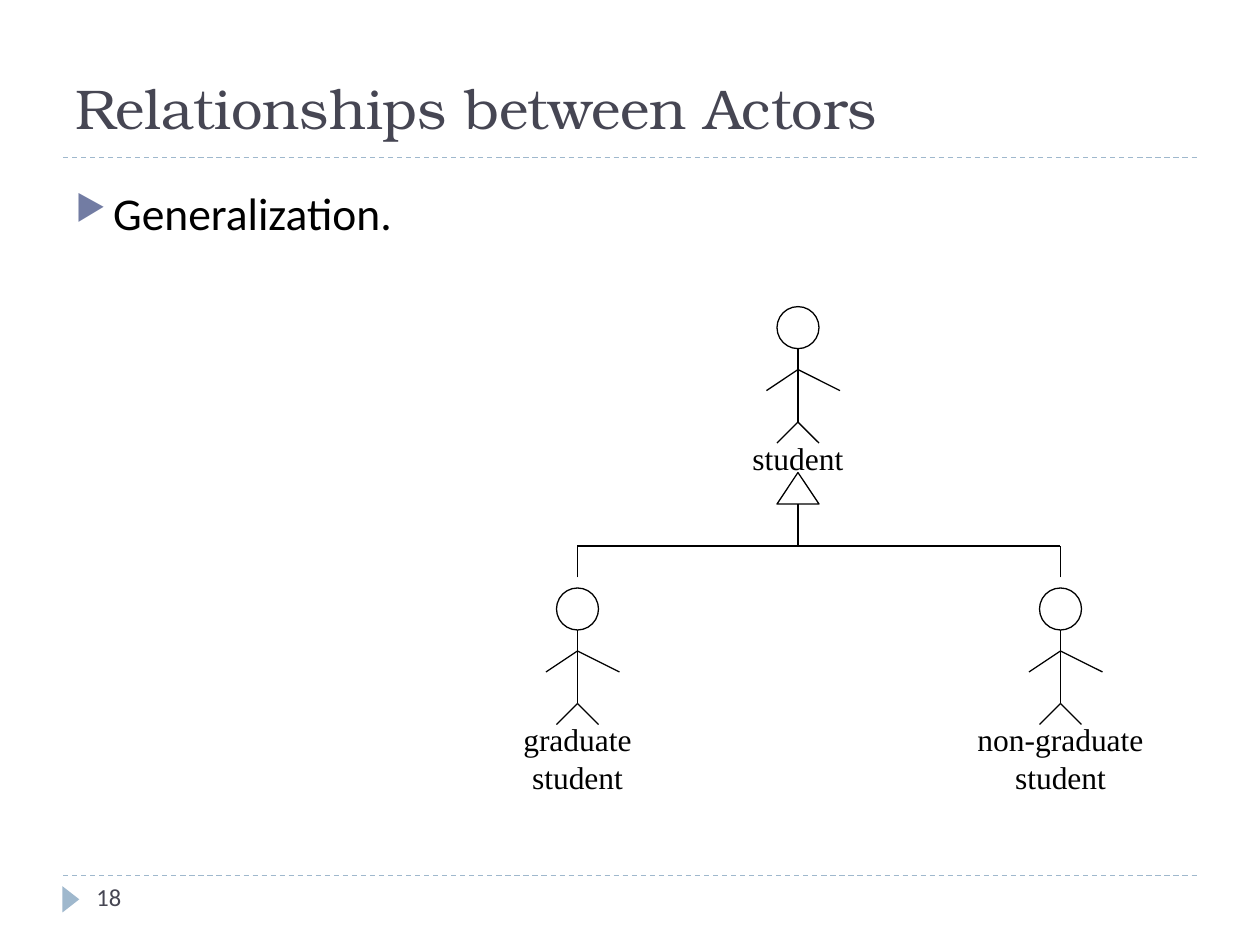
from lxml import etree
from pptx import Presentation, util as u
from pptx.dml.color import RGBColor
from pptx.enum import dml, shapes, text
from pptx.oxml.ns import qn

INK = RGBColor(0x00, 0x00, 0x00)
HEADING = RGBColor(0x46, 0x46, 0x53)
ACCENT = RGBColor(0x9F, 0xB8, 0xCD)
BULLET = RGBColor(0x72, 0x7C, 0xA3)

COLUMNS, ROWS = 120, 90


def write(frame, content, font="Calibri", size=18, color=INK,
          align=text.PP_ALIGN.LEFT, bullet=None):
    """Fill a text frame with one paragraph per line of content."""
    for index, line in enumerate(content.split("\n")):
        paragraph = frame.paragraphs[0] if index == 0 else frame.add_paragraph()
        if bullet:
            add_bullet(paragraph, bullet)
        paragraph.alignment = align
        run = paragraph.add_run()
        run.text = line
        run.font.name = font
        run.font.size = u.Pt(size)
        run.font.color.rgb = color


def add_bullet(paragraph, symbol, color=BULLET, percent=76, indent=0.3):
    properties = paragraph._p.get_or_add_pPr()
    properties.set("marL", str(u.Inches(indent)))
    properties.set("indent", str(-u.Inches(indent)))
    bullet_color = etree.SubElement(properties, qn("a:buClr"))
    etree.SubElement(bullet_color, qn("a:srgbClr"), val=str(color))
    etree.SubElement(properties, qn("a:buSzPct"), val=str(percent * 1000))
    etree.SubElement(properties, qn("a:buChar"), char=symbol)


class ActorSlide:
    """Draws on a grid of 120 columns by 90 rows."""

    def __init__(self, deck):
        self.slide = deck.slides.add_slide(deck.slide_layouts[6])
        self.canvas = self.slide.shapes
        self.column = deck.slide_width / COLUMNS
        self.row = deck.slide_height / ROWS

    def place(self, *lengths):
        """Turn alternating columns and rows into slide lengths."""
        units = (self.column, self.row) * (len(lengths) // 2)
        return [round(length * unit) for length, unit in zip(lengths, units)]

    def start_group(self):
        self.canvas = self.slide.shapes.add_group_shape().shapes

    def line(self, x1, y1, x2, y2, color=INK, dash=None):
        connector = self.canvas.add_connector(
            shapes.MSO_CONNECTOR.STRAIGHT, *self.place(x1, y1, x2, y2))
        connector.line.color.rgb = color
        connector.line.width = u.Pt(0.75)
        if dash:
            connector.line.dash_style = dash
        etree.SubElement(connector._element.spPr, qn("a:effectLst"))

    def shape(self, kind, *box, fill=None, rotation=0):
        """Draw a filled shape without an outline, or an outline without fill."""
        shape = self.canvas.add_shape(kind, *self.place(*box))
        shape.shadow.inherit = False
        shape.rotation = rotation
        if fill:
            shape.fill.solid()
            shape.fill.fore_color.rgb = fill
            shape.line.fill.background()
        else:
            shape.fill.background()
            shape.line.color.rgb = INK
            shape.line.width = u.Pt(0.75)

    def text(self, content, *box, anchor=text.MSO_ANCHOR.TOP, **style):
        frame = self.canvas.add_textbox(*self.place(*box)).text_frame
        frame.word_wrap = True
        frame.vertical_anchor = anchor
        write(frame, content, **style)

    def actor(self, label, x, top, label_width):
        """Draw a stick figure centred on column x with its label below."""
        self.start_group()
        shoulder, hip = top + 6, top + 11
        self.shape(shapes.MSO_SHAPE.OVAL, x - 2, top, 4, 4)
        self.line(x, top + 4, x, hip)
        for start, reach in ((shoulder, 4), (shoulder, -3), (hip, 2), (hip, -2)):
            self.line(x, start, x + reach, start + 2)
        self.text(label, x - label_width / 2, hip + 1, label_width,
                  4.8 if "\n" not in label else 8.4,
                  font="Times New Roman", align=text.PP_ALIGN.CENTER)

    def generalization(self, parent, children, arrow_top, bar):
        """Join child columns by a bar that points up to the parent column."""
        self.start_group()
        for child in children:
            self.line(child, bar + 3, child, bar)
        self.line(min(children), bar, max(children), bar)
        self.shape(shapes.MSO_SHAPE.ISOSCELES_TRIANGLE,
                   parent - 2, arrow_top, 4, 3)
        self.line(parent, arrow_top + 3, parent, bar)


def main():
    deck = Presentation()
    deck.slide_width, deck.slide_height = u.Inches(10), u.Inches(7.5)
    page = ActorSlide(deck)

    for rule in (83.4, 15):
        page.line(6, rule, 114, rule, color=ACCENT, dash=dml.MSO_LINE.DASH)
    page.shape(shapes.MSO_SHAPE.ISOSCELES_TRIANGLE, 5.5, 84.85, 2.5, 1.6,
               fill=ACCENT, rotation=90)
    page.text("18", 8, 83.4, 26, 4.8, size=14, color=HEADING)
    page.text("Relationships between Actors", 6, 2, 108, 12,
              anchor=text.MSO_ANCHOR.BOTTOM,
              font="TeX Gyre Bonum", size=32, color=HEADING)
    page.text("Generalization.", 6, 17, 102, 53, size=26, bullet="▶")

    student, graduate, non_graduate = 76, 55, 101
    page.actor("student", student, 29.2, label_width=12)
    page.actor("non-graduate\nstudent", non_graduate, 56, label_width=20)
    page.actor("graduate\nstudent", graduate, 56, label_width=16)
    page.generalization(student, (graduate, non_graduate), arrow_top=45, bar=52)

    deck.save("out.pptx")


if __name__ == "__main__":
    main()
